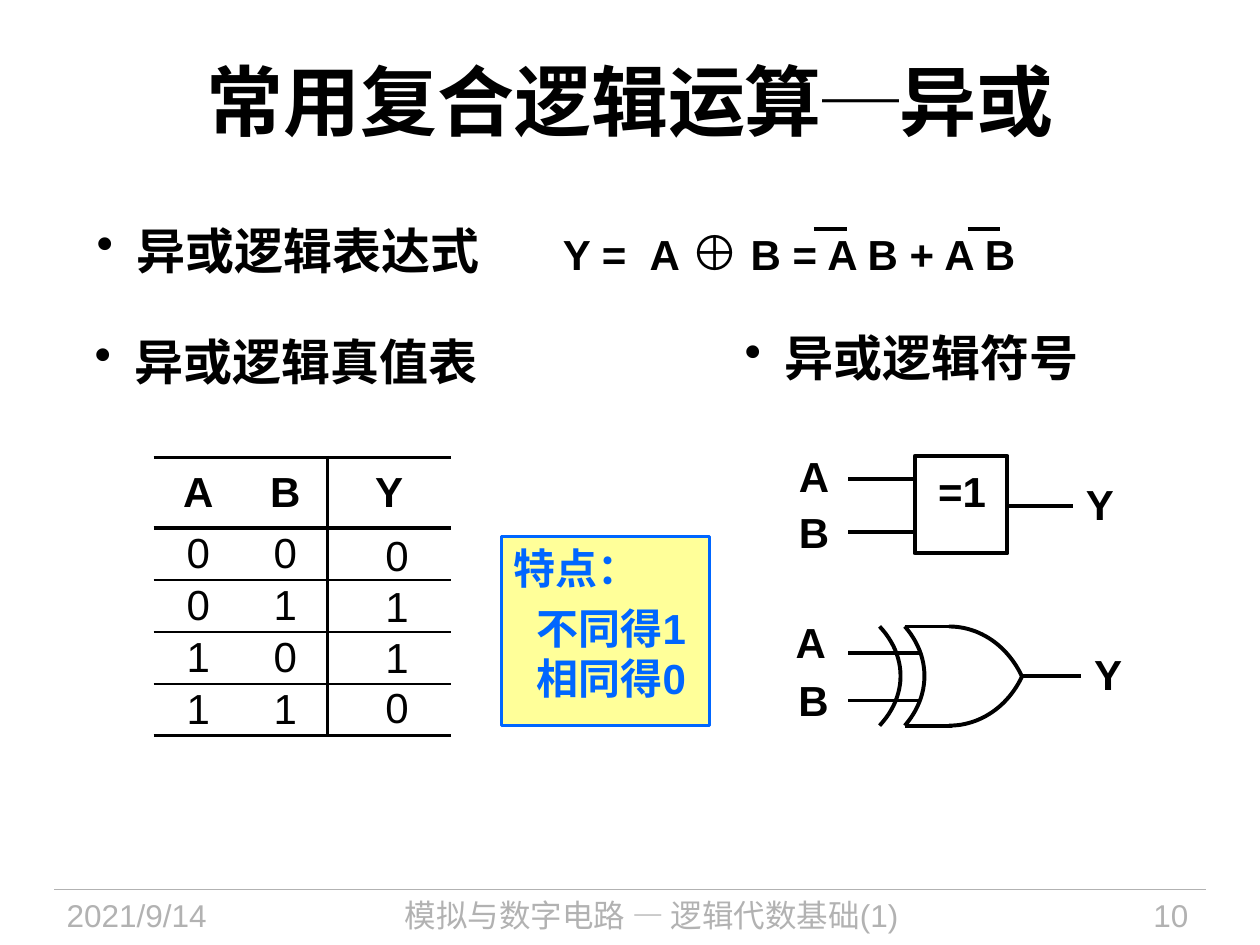
"""Build the slide on the exclusive-or operation with its truth table and symbols."""
from lxml import etree
from pptx import Presentation
from pptx.dml.color import RGBColor
from pptx.enum.shapes import MSO_CONNECTOR, MSO_SHAPE
from pptx.enum.text import MSO_ANCHOR, PP_ALIGN
from pptx.oxml.ns import qn
from pptx.util import Pt

BLACK = RGBColor(0x00, 0x00, 0x00)
GRAY = RGBColor(0xB2, 0xB2, 0xB2)
BLUE = RGBColor(0x00, 0x66, 0xFF)
YELLOW = RGBColor(0xFF, 0xFF, 0x99)
LEFT, CENTER, RIGHT = PP_ALIGN.LEFT, PP_ALIGN.CENTER, PP_ALIGN.RIGHT
TOP, MIDDLE = MSO_ANCHOR.TOP, MSO_ANCHOR.MIDDLE
STRAIGHT, RECTANGLE = MSO_CONNECTOR.STRAIGHT, MSO_SHAPE.RECTANGLE
CJK = "Noto Sans CJK SC"


def write(para, text, size=24, font="Arial", color=BLACK, bold=True, align=LEFT,
          spacing=None, indent=0, bullet=False, tracking=None):
    props = para._p.get_or_add_pPr()
    if indent:
        props.set("marL", str(Pt(indent)))
    if bullet:
        props.set("indent", str(-Pt(indent)))
        etree.SubElement(props, qn("a:buChar")).set("char", "•")
    para.alignment = align
    if spacing:
        para.line_spacing = spacing
    span = para.add_run()
    span.text = text
    span.font.size = Pt(size)
    span.font.name = font
    span.font.bold = bold
    span.font.color.rgb = color
    if tracking:
        span.font._element.set("spc", str(tracking))


def add_box(left, top, width, height, inset=True, anchor=TOP):
    box = slide.shapes.add_textbox(Pt(left), Pt(top), Pt(width), Pt(height))
    frame = box.text_frame
    frame.word_wrap = True
    frame.vertical_anchor = anchor
    if not inset:
        frame.margin_left = frame.margin_right = 0
        frame.margin_top = frame.margin_bottom = 0
    return frame.paragraphs[0]


deck = Presentation()
deck.slide_width, deck.slide_height = Pt(720), Pt(540)
slide = deck.slides.add_slide(deck.slide_layouts[6])

for left, width, text, align in (
    (31, 135.4, "2021/9/14", LEFT),
    (179.3, 386, "模拟与数字电路 — 逻辑代数基础(1)", CENTER),
    (590.4, 95.8, "10", RIGHT),
):
    write(add_box(left, 508.3, width, 31.7), text, size=18, color=GRAY, bold=False, align=align)

title = add_box(36, 12.2, 648, 90, anchor=MIDDLE)
for text, font in (("常用复合逻辑运算", "Arial"), ("─", "Times New Roman"), ("异或", "Arial")):
    write(title, text, size=44, font=font, align=CENTER)

for left, top, width, inset, text, align, spacing in (
    (48.2, 122.4, 240, True, "异或逻辑表达式", LEFT, None),
    (54, 193, 248.4, False, "异或逻辑真值表", LEFT, 0.9),
    (416.9, 190.8, 208, False, "异或逻辑符号", CENTER, 0.9),
):
    write(add_box(left, top, width, 30, inset), text, size=28, font=CJK,
          align=align, spacing=spacing, indent=23, bullet=True)

expression = add_box(314.6, 123.1, 282.2, 41)
for text, size, tracking in (
    ("Y =", 24, None), (" ", 24, 667), ("A ", 24, None),
    ("⊕", 28, None), (" B = A B + A B", 24, None),
):
    write(expression, text, size=size, tracking=tracking)

feature = slide.shapes.add_shape(RECTANGLE, Pt(286.6), Pt(306.7), Pt(118.8), Pt(108))
feature.shadow.inherit = False
feature.fill.solid()
feature.fill.fore_color.rgb = YELLOW
feature.line.color.rgb = BLUE
feature.line.width = Pt(1.5)
frame = feature.text_frame
frame.word_wrap = True
frame.vertical_anchor = TOP
write(frame.paragraphs[0], "特点：", color=BLUE)
for text, space in (("不同得1", 5), ("相同得0", 0)):
    para = frame.add_paragraph()
    para.space_before = Pt(space)
    write(para, text, color=BLUE, indent=13)

gate = slide.shapes.add_shape(RECTANGLE, Pt(522.7), Pt(260.6), Pt(53), Pt(55.6))
gate.shadow.inherit = False
gate.fill.background()
gate.line.color.rgb = BLACK
gate.line.width = Pt(2.25)

for text, left, top, width in (
    ("A", 456.5, 260.6, 17.3), ("B", 456.5, 293, 17.3),
    ("=1", 529.9, 269.3, 39.6), ("Y", 619.9, 276.5, 17.3),
    ("A", 450.7, 355.7, 25.2), ("B", 452.2, 388.8, 25.2), ("Y", 620.6, 373.7, 25.2),
):
    write(add_box(left, top, width, 26, inset=False), text, align=CENTER, spacing=0.9)

for start, end, height, color, weight in (
    (31, 689, 508.3, GRAY, 0.75),
    (465.1, 483.8, 131, BLACK, 2.25),
    (553, 571.7, 131, BLACK, 2.25),
    (484.6, 522.7, 273.6, BLACK, 2.25),
    (484.6, 522.7, 303.8, BLACK, 2.25),
    (575.3, 613.4, 289.4, BLACK, 2.25),
    (484.6, 525.6, 373, BLACK, 2.25),
    (484.6, 525.6, 400.3, BLACK, 2.25),
    (584, 617.8, 386.3, BLACK, 2.25),
    (517, 544.3, 358, BLACK, 2.25),
    (517, 544.3, 414.7, BLACK, 2.25),
):
    line = slide.shapes.add_connector(STRAIGHT, Pt(start), Pt(height), Pt(end), Pt(height))
    line.line.color.rgb = color
    line.line.width = Pt(weight)
    etree.SubElement(line._element.spPr, qn("a:effectLst"))

STEPS = 24
for controls in (
    ((542.2, 358), (560.2, 358), (576, 369.4), (584, 386.6)),
    ((542.2, 414.7), (560.2, 414.7), (576, 403.6), (584, 386.6)),
    ((517, 358), (532, 375), (532, 397.6), (517, 414.7)),
    ((502.6, 358), (518.6, 375), (518.6, 397.6), (502.6, 414.7)),
):
    points = []
    for step in range(STEPS + 1):
        t = step / STEPS
        weights = ((1 - t) ** 3, 3 * t * (1 - t) ** 2, 3 * t ** 2 * (1 - t), t ** 3)
        points.append(tuple(Pt(sum(w * c for w, c in zip(weights, axis)))
                            for axis in zip(*controls)))
    builder = slide.shapes.build_freeform(*points[0])
    builder.add_line_segments(points[1:], close=False)
    curve = builder.convert_to_shape()
    curve.shadow.inherit = False
    curve.fill.background()
    curve.line.color.rgb = BLACK
    curve.line.width = Pt(2.25)

INPUT_ROWS = (("A", "B", "Y"), ("0", "0", ""), ("0", "1", ""), ("1", "0", ""), ("1", "1", ""))
OUTPUT_ROWS = (("0",), ("1",), ("1",), ("0",))
for left, top, widths, heights, rows, rules, dividers in (
    (87.8, 261.4, (51.1, 48.2, 70.6), (40.3,) + (29.7,) * 4, INPUT_ROWS,
     (2.25, 2.25, 1, 1, 1, 2.25), (0, 0, 2.25, 0)),
    (193, 303.8, (67.7,), (29,) * 4, OUTPUT_ROWS, (0,) * 5, (0, 0)),
):
    table = slide.shapes.add_table(len(rows), len(widths), Pt(left), Pt(top),
                                   Pt(sum(widths)), Pt(sum(heights))).table
    table.first_row = table.horz_banding = False
    for column, width in zip(table.columns, widths):
        column.width = Pt(width)
    for r, (values, height) in enumerate(zip(rows, heights)):
        table.rows[r].height = Pt(height)
        for c, value in enumerate(values):
            cell = table.cell(r, c)
            cell.margin_left = cell.margin_right = cell.margin_top = cell.margin_bottom = 0
            cell.vertical_anchor = MIDDLE
            if value:
                write(cell.text_frame.paragraphs[0], value, bold=value.isalpha(), align=CENTER)
            for tag, weight in (("a:lnL", dividers[c]), ("a:lnR", dividers[c + 1]),
                                ("a:lnT", rules[r]), ("a:lnB", rules[r + 1])):
                edge = etree.SubElement(cell._tc.get_or_add_tcPr(), qn(tag))
                edge.set("w", str(Pt(weight)))
                if weight:
                    fill = etree.SubElement(edge, qn("a:solidFill"))
                    etree.SubElement(fill, qn("a:srgbClr")).set("val", str(BLACK))
                else:
                    etree.SubElement(edge, qn("a:noFill"))
            cell.fill.background()

deck.save("out.pptx")
